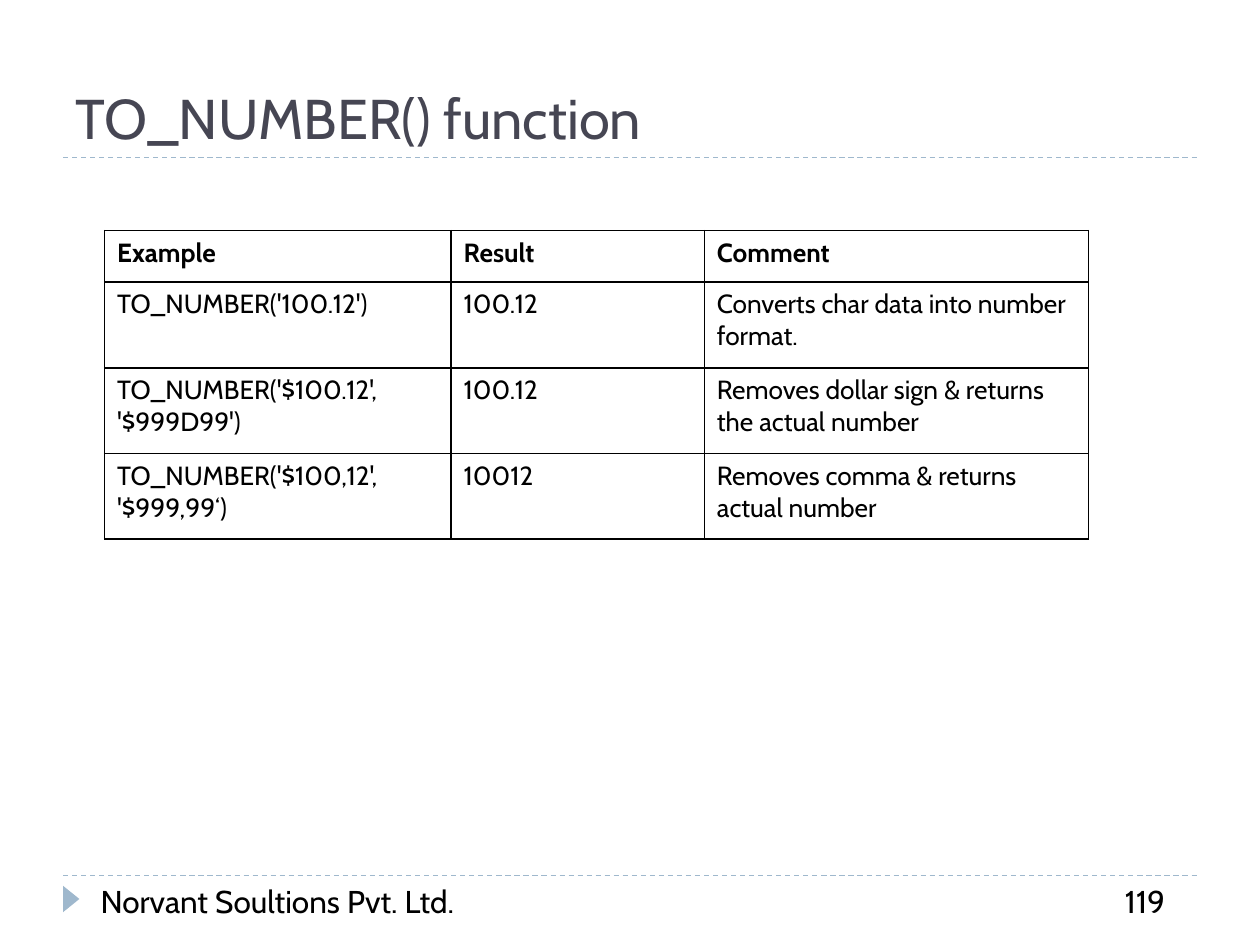
from lxml import etree
from pptx import Presentation
from pptx.dml.color import RGBColor
from pptx.enum.dml import MSO_LINE
from pptx.enum.shapes import MSO_CONNECTOR, MSO_SHAPE
from pptx.enum.text import MSO_ANCHOR, PP_ALIGN
from pptx.oxml.ns import qn
from pptx.util import Pt

BLACK = RGBColor(0x00, 0x00, 0x00)
TITLE_GREY = RGBColor(0x46, 0x46, 0x53)
PALE_BLUE = RGBColor(0x9F, 0xB8, 0xCD)
FONT = "Cabin"
STRAIGHT = MSO_CONNECTOR.STRAIGHT
TRIANGLE = MSO_SHAPE.ISOSCELES_TRIANGLE
DASH = MSO_LINE.DASH
TOP, BOTTOM, MIDDLE = MSO_ANCHOR.TOP, MSO_ANCHOR.BOTTOM, MSO_ANCHOR.MIDDLE
LEFT, JUSTIFY = PP_ALIGN.LEFT, PP_ALIGN.JUSTIFY

COLUMN_WIDTHS = [198, 144.72, 219.6]
ROW_HEIGHTS = [29.52, 48.96, 48.96, 48.96]
ROWS = [
    ["Example", "Result", "Comment"],
    ["TO_NUMBER('100.12')", "100.12", "Converts char data into number format."],
    ["TO_NUMBER('$100.12', '$999D99')", "100.12", "Removes dollar sign & returns the actual number"],
    ["TO_NUMBER('$100,12', '$999,99‘)", "10012", "Removes comma & returns actual number"],
]


def write(frame, text, size, color=BLACK, bold=False, align=LEFT):
    """Write one formatted run into the first paragraph of a text frame."""
    para = frame.paragraphs[0]
    para.alignment = align
    span = para.add_run()
    span.text = text
    span.font.name = FONT
    span.font.size = Pt(size)
    span.font.bold = bold
    span.font.color.rgb = color


def add_rule(page, left, top, width):
    """Draw a dashed horizontal rule."""
    rule = page.shapes.add_connector(STRAIGHT, Pt(left), Pt(top), Pt(left + width), Pt(top))
    rule.line.color.rgb = PALE_BLUE
    rule.line.width = Pt(0.75)
    rule.line.dash_style = DASH
    etree.SubElement(rule.line._get_or_add_ln().getparent(), qn("a:effectLst"))


def add_header(page, left, top, width, height):
    """Place the title with a rule along its lower edge."""
    add_rule(page, left, top + height, width)
    title = page.shapes.title
    title.left, title.top, title.width, title.height = Pt(left), Pt(top), Pt(width), Pt(height)
    title.text_frame.vertical_anchor = BOTTOM
    write(title.text_frame, "TO_NUMBER() function", 32, TITLE_GREY)


def border_cell(cell):
    """Give a cell a thin black line on all four sides."""
    properties = cell._tc.get_or_add_tcPr()
    for position, side in enumerate(("a:lnL", "a:lnR", "a:lnT", "a:lnB")):
        line = etree.Element(qn(side), w=str(Pt(1)))
        fill = etree.SubElement(line, qn("a:solidFill"))
        etree.SubElement(fill, qn("a:srgbClr"), val=str(BLACK))
        properties.insert(position, line)


def add_examples(page, left, top, width, height):
    """Place the table of conversion examples."""
    frame = page.shapes.add_table(
        len(ROWS), len(COLUMN_WIDTHS), Pt(left), Pt(top), Pt(width), Pt(height))
    table = frame.table
    table.first_row = table.horz_banding = False
    for column, column_width in zip(table.columns, COLUMN_WIDTHS):
        column.width = Pt(column_width)
    for row, row_height, texts in zip(table.rows, ROW_HEIGHTS, ROWS):
        row.height = Pt(row_height)
        heading = texts is ROWS[0]
        for cell, text in zip(row.cells, texts):
            cell.fill.background()
            cell.vertical_anchor = TOP
            border_cell(cell)
            write(cell.text_frame, text, 15, bold=heading, align=JUSTIFY if heading else LEFT)


def add_footer_text(page, text, left, top, width, height):
    """Place one piece of footer text."""
    box = page.shapes.add_textbox(Pt(left), Pt(top), Pt(width), Pt(height))
    box.text_frame.word_wrap = True
    box.text_frame.vertical_anchor = MIDDLE
    write(box.text_frame, text, 18)


def add_footer(page, left, top, width, height):
    """Place the footer rule, marker, company name and page number."""
    add_rule(page, left, top, width)
    marker = page.shapes.add_shape(TRIANGLE, Pt(left - 2.88), Pt(top + 8.64), Pt(15.12), Pt(9.36))
    marker.rotation = 90
    marker.shadow.inherit = False
    marker.fill.solid()
    marker.fill.fore_color.rgb = PALE_BLUE
    marker.line.fill.background()
    add_footer_text(page, "Norvant Soultions Pvt. Ltd.", left + 14.4, top, 273.6, height)
    add_footer_text(page, "119", left + width - 48.24, top, 48.24, height)


def main():
    """Build the deck and save it."""
    deck = Presentation()
    deck.slide_width, deck.slide_height = Pt(720), Pt(540)
    page = deck.slides.add_slide(deck.slide_layouts[5])
    add_header(page, 36, 12.24, 648, 77.76)
    add_examples(page, 59.76, 131.76, sum(COLUMN_WIDTHS), sum(ROW_HEIGHTS))
    add_footer(page, 36, 500.4, 648, 28.8)
    deck.save("out.pptx")


if __name__ == "__main__":
    main()
